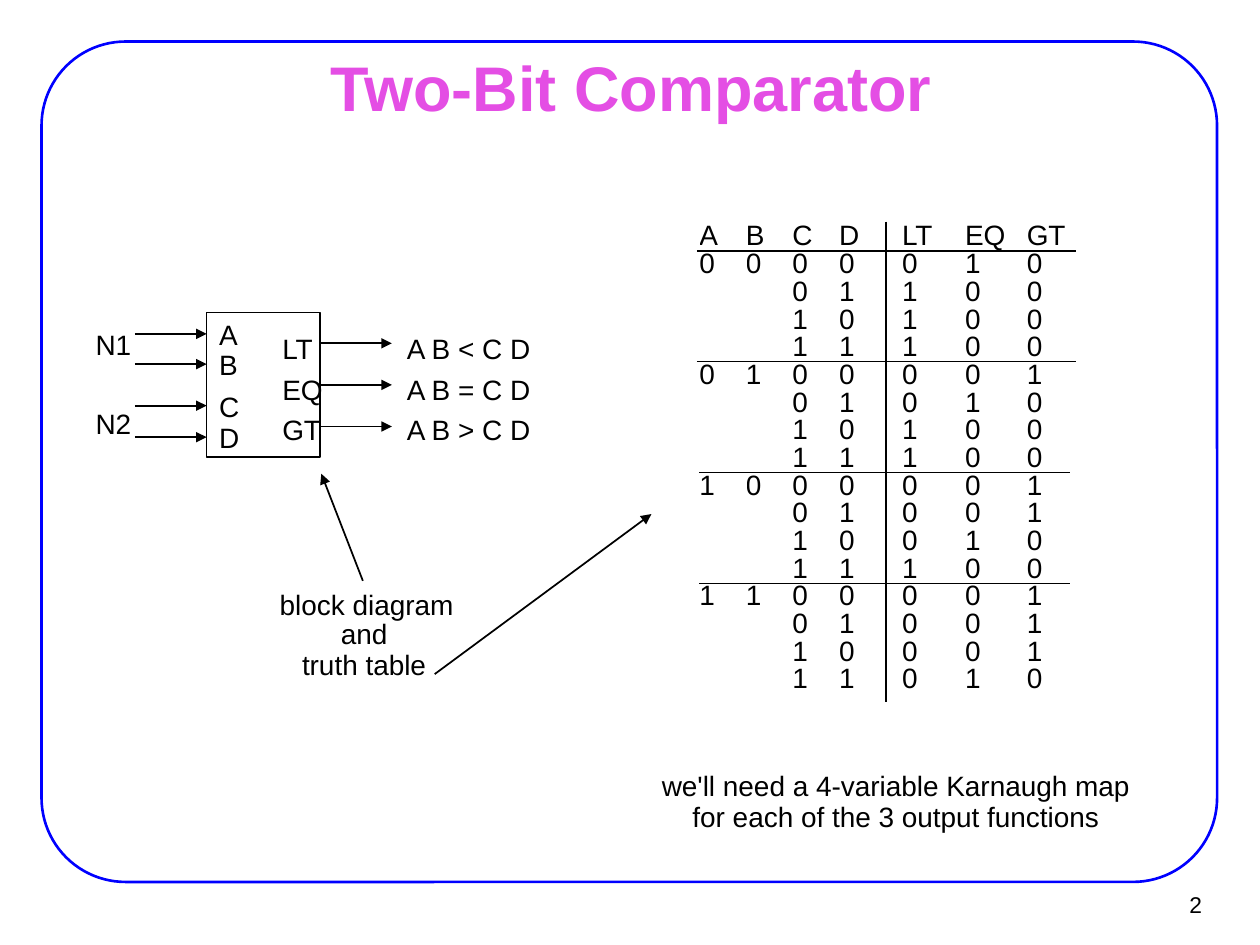
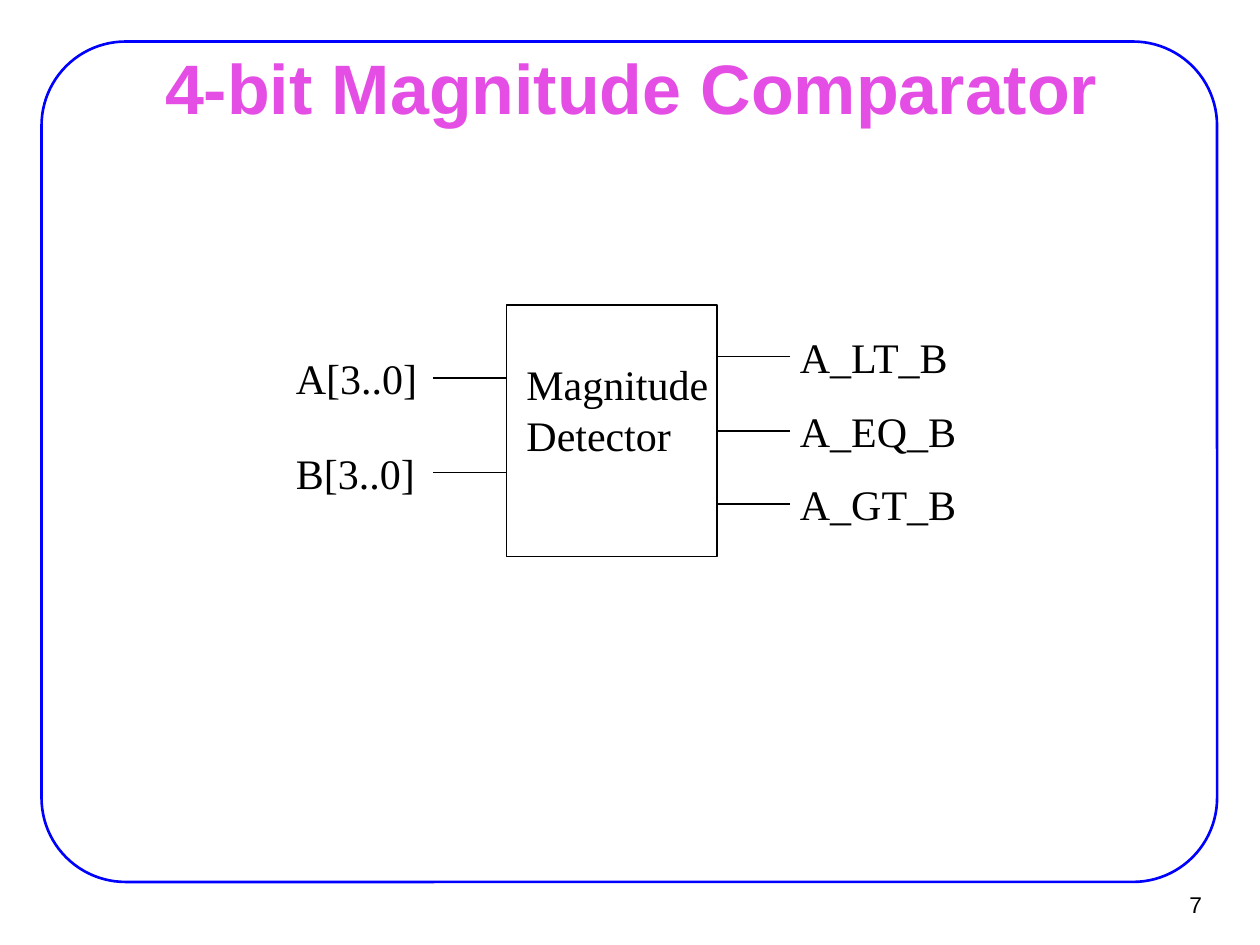
"""Build two slides on the two-bit and four-bit magnitude comparators."""
from dataclasses import dataclass, replace
from itertools import product
from typing import Any, Optional

from lxml.etree import SubElement
from pptx import Presentation
from pptx.dml.color import RGBColor
from pptx.enum.shapes import MSO_CONNECTOR, MSO_SHAPE
from pptx.enum.text import MSO_ANCHOR, MSO_AUTO_SIZE, PP_ALIGN
from pptx.oxml.ns import qn
from pptx.presentation import Presentation as Deck
from pptx.shapes.autoshape import Shape
from pptx.slide import Slide
from pptx.text.text import TextFrame
from pptx.util import Inches, Pt

COLORS = {"ink": "000000", "frame": "0000FF", "title": "E44EE4"}
TITLE_ONLY = 5
RIGHT_SIDE = 3


@dataclass(frozen=True)
class TextStyle:
    """Look of a piece of text."""
    size: float
    font: str = "Arial"
    color: str = "ink"
    bold: bool = False
    align: PP_ALIGN = PP_ALIGN.LEFT
    anchor: MSO_ANCHOR = MSO_ANCHOR.TOP
    spacing: Optional[float] = None
    inset: tuple[float, float] = (0.1, 0.05)
    wrap: bool = False


@dataclass(frozen=True)
class Label:
    """Text with its place in inches."""
    text: str
    left: float
    top: float
    width: float
    height: float


@dataclass(frozen=True)
class Box:
    """Outlined block in inches, with its line width in points."""
    left: float
    top: float
    width: float
    height: float
    weight: float

    @property
    def right(self) -> float:
        """Return the right edge."""
        return self.left + self.width

    @property
    def middle(self) -> float:
        """Return the height of the side centres."""
        return self.top + self.height / 2


TITLE = TextStyle(36, color="title", bold=True, align=PP_ALIGN.CENTER,
                  anchor=MSO_ANCHOR.MIDDLE, inset=(0.11, 0.06), wrap=True)
NUMBER = TextStyle(13, align=PP_ALIGN.RIGHT, anchor=MSO_ANCHOR.MIDDLE, inset=(0.09, 0.04))
PIN = TextStyle(16)
OUTPUT = TextStyle(16, spacing=23.1, inset=(0.02, 0.03))
CAPTION = replace(OUTPUT, spacing=17.8, align=PP_ALIGN.CENTER)
CELL = TextStyle(16, spacing=15.8)
SIGNAL = TextStyle(24, "Times New Roman")


def set_all(target: Any, values: dict[str, Any]) -> None:
    """Set every named attribute of the target."""
    for name, value in values.items():
        setattr(target, name, value)


def style_text(frame: TextFrame, style: TextStyle) -> None:
    """Format all paragraphs of a text frame."""
    for paragraph in frame.paragraphs:
        paragraph.alignment = style.align
        if style.spacing:
            paragraph.line_spacing = Pt(style.spacing)
        set_all(paragraph.font, {"name": style.font, "size": Pt(style.size), "bold": style.bold})
        paragraph.font.color.rgb = RGBColor.from_string(COLORS[style.color])


def fill_frame(frame: TextFrame, text: str, style: TextStyle) -> None:
    """Put text into a frame and format both."""
    across, down = (Inches(value) for value in style.inset)
    frame.text = text
    set_all(frame, {
        "margin_left": across, "margin_right": across,
        "margin_top": down, "margin_bottom": down,
        "word_wrap": style.wrap, "auto_size": MSO_AUTO_SIZE.NONE,
        "vertical_anchor": style.anchor,
    })
    style_text(frame, style)


def add_label(slide: Slide, label: Label, style: TextStyle) -> None:
    """Add a text box."""
    place = (label.left, label.top, label.width, label.height)
    textbox = slide.shapes.add_textbox(*map(Inches, place))
    fill_frame(textbox.text_frame, label.text, style)


def add_box(slide: Slide, box: Box, color: str = "ink",
            kind: MSO_SHAPE = MSO_SHAPE.RECTANGLE) -> Shape:
    """Add an unfilled outline."""
    place = (box.left, box.top, box.width, box.height)
    outline = slide.shapes.add_shape(kind, *map(Inches, place))
    outline.shadow.inherit = False
    outline.fill.background()
    outline.line.color.rgb = RGBColor.from_string(COLORS[color])
    outline.line.width = Pt(box.weight)
    return outline


def add_line(slide: Slide, start: tuple[float, float], end: tuple[float, float],
             weight: float = 1, arrow: bool = False, source: Optional[Shape] = None) -> None:
    """Add a straight line, with an arrowhead or joined to a block if asked."""
    line = slide.shapes.add_connector(MSO_CONNECTOR.STRAIGHT, *map(Inches, start + end))
    if source is not None:
        line.begin_connect(source, RIGHT_SIDE)
    line.line.color.rgb = RGBColor.from_string(COLORS["ink"])
    line.line.width = Pt(weight)
    properties = line._element.spPr
    if arrow:
        SubElement(properties.find(qn("a:ln")), qn("a:tailEnd"), type="triangle")
    SubElement(properties, qn("a:effectLst"))


def add_block(slide: Slide, box: Box, inputs: tuple[float, ...], outputs: tuple[float, ...],
              reach: float, arrow: bool) -> None:
    """Add a block with input lines on its left and output lines on its right."""
    block = add_box(slide, box)
    for y in inputs:
        add_line(slide, (box.left - reach, y), (box.left, y), box.weight, arrow)
    for y in outputs:
        source = block if abs(y - box.middle) < 0.01 else None
        add_line(slide, (box.right, y), (box.right + reach, y), box.weight, arrow, source)


def add_base(deck: Deck, title: str, number: int, title_size: float) -> Slide:
    """Add a slide with the shared frame, title and number."""
    slide = deck.slides.add_slide(deck.slide_layouts[TITLE_ONLY])
    frame = add_box(slide, Box(0.33, 0.33, 9.33, 6.67, 1.5), "frame", MSO_SHAPE.ROUNDED_RECTANGLE)
    frame.adjustments[0] = 0.1
    heading = slide.shapes.title
    set_all(heading, {"left": Inches(0.76), "top": Inches(0.44),
                      "width": Inches(8.5), "height": Inches(0.49)})
    fill_frame(heading.text_frame, title, replace(TITLE, size=title_size))
    add_label(slide, Label(str(number), 9.02, 6.99, 0.61, 0.37), NUMBER)
    return slide


def truth_rows() -> list[list[str]]:
    """Return the header and the sixteen rows, with A and B shown once per group."""
    rows = [["A", "B", "C", "D", "LT", "EQ", "GT"]]
    for a, b, c, d in product((0, 1), repeat=4):
        first, second = (a, b), (c, d)
        leading = first if second == (0, 0) else ("", "")
        results = (first < second, first == second, first > second)
        rows.append([str(value) for value in (*leading, c, d, *map(int, results))])
    return rows


def add_truth_table(slide: Slide) -> None:
    """Add the truth table and its rules."""
    rows = truth_rows()
    widths = (0.37, 0.37, 0.37, 0.5, 0.5, 0.49, 0.5)
    place = (5.55, 1.78, sum(widths), 0.22 * len(rows))
    table = slide.shapes.add_table(len(rows), len(widths), *map(Inches, place)).table
    set_all(table, {"first_row": False, "horz_banding": False})
    for column, width in zip(table.columns, widths):
        column.width = Inches(width)
    for row, values in zip(table.rows, rows):
        row.height = Pt(CELL.spacing)
        for cell, value in zip(row.cells, values):
            cell.fill.background()
            set_all(cell, {"margin_left": 0, "margin_right": 0,
                           "margin_top": 0, "margin_bottom": 0})
            cell.text = value
            style_text(cell.text_frame, CELL)
            if not value:
                SubElement(cell.text_frame.paragraphs[0]._p, qn("a:endParaRPr"), sz="800")
    for group, (left, right) in enumerate([(5.53, 8.54)] * 2 + [(5.55, 8.49)] * 2):
        y = 1.99 + 0.88 * group
        add_line(slide, (left, y), (right, y))
    add_line(slide, (7.03, 1.76), (7.03, 5.57))


def add_two_bit_slide(deck: Deck) -> None:
    """Add the slide with the block diagram and the truth table."""
    slide = add_base(deck, "Two-Bit Comparator", 2, 36)
    box = Box(1.64, 2.48, 0.9, 1.15, 1)
    pins = {"A": 2.65, "B": 2.89, "C": 3.22, "D": 3.47}
    outputs = tuple(box.middle + 0.33 * step for step in (-1, 0, 1))
    add_block(slide, box, tuple(pins.values()), outputs, 0.57, True)
    for pin, y in pins.items():
        add_label(slide, Label(pin, box.left, y - 0.18, 0.36, 0.36), PIN)
    for number, top in (("N1", 2.55), ("N2", 3.18)):
        add_label(slide, Label(number, 0.66, top, 0.48, 0.36), PIN)
    add_label(slide, Label("LT\nEQ\nGT", 2.22, 2.55, 0.38, 0.71), OUTPUT)
    add_label(slide, Label("A B < C D\nA B = C D\nA B > C D", 3.21, 2.55, 1.58, 0.76), OUTPUT)
    add_truth_table(slide)
    for caption in (
        Label("block diagram", 1.96, 4.65, 1.9, 0.4),
        Label("and\ntruth table", 1.94, 4.88, 1.9, 0.63),
        Label("we'll need a 4-variable Karnaugh map\nfor each of the 3 output functions",
              4.85, 6.09, 4.52, 0.63),
    ):
        add_label(slide, caption, CAPTION)
    add_line(slide, (2.88, 4.61), (2.55, 3.76), arrow=True)
    add_line(slide, (3.45, 5.35), (5.17, 4.08), arrow=True)


def add_four_bit_slide(deck: Deck) -> None:
    """Add the slide with the magnitude detector."""
    slide = add_base(deck, "4-bit Magnitude Comparator", 7, 40)
    inputs = {"A[3..0]": 3.0, "B[3..0]": 3.75}
    outputs = {"A_LT_B": 2.83, "A_EQ_B": 3.42, "A_GT_B": 4.0}
    box = Box(4.02, 2.42, 1.67, 2, 0.75)
    add_block(slide, box, tuple(inputs.values()), tuple(outputs.values()), 0.58, False)
    add_label(slide, Label("Magnitude\nDetector", 4.08, 2.8, 1.64, 0.9), SIGNAL)
    for signals, left, width in ((inputs, 2.25, 1.16), (outputs, 6.25, 1.44)):
        for signal, y in signals.items():
            add_label(slide, Label(signal, left, y - 0.25, width, 0.5), SIGNAL)


def main() -> None:
    """Build and save the deck."""
    deck = Presentation()
    set_all(deck, {"slide_width": Inches(10), "slide_height": Inches(7.5)})
    add_two_bit_slide(deck)
    add_four_bit_slide(deck)
    deck.save("out.pptx")


if __name__ == "__main__":
    main()
